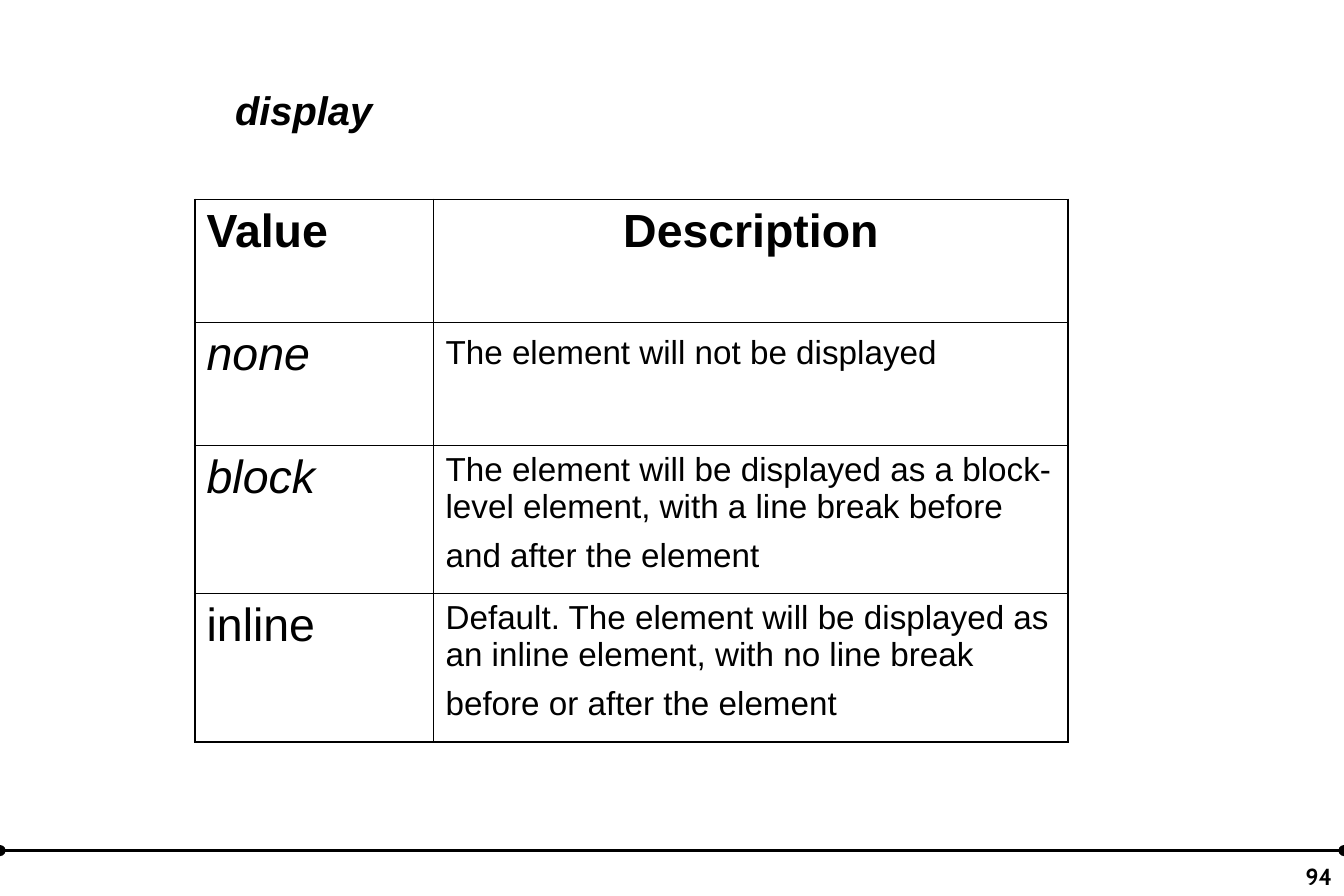
from lxml.etree import SubElement
from pptx import Presentation
from pptx.dml.color import RGBColor
from pptx.enum.shapes import MSO_CONNECTOR
from pptx.enum.text import MSO_ANCHOR, PP_ALIGN
from pptx.oxml.ns import qn
from pptx.util import Inches, Pt

LINE = MSO_CONNECTOR.STRAIGHT
TOP, BOTTOM = MSO_ANCHOR.TOP, MSO_ANCHOR.BOTTOM
LEFT, CENTER, RIGHT = PP_ALIGN.LEFT, PP_ALIGN.CENTER, PP_ALIGN.RIGHT
COLORS = {"ink": "000000", "paper": "FFFFFF"}
THIN, THICK = 0.45, 1.08


def write(par, text, size=28, font="Arial", bold=False, italic=False, align=LEFT):
    par.alignment = align
    run = par.add_run()
    run.text = text
    run.font.name = font
    run.font.size = Pt(size)
    run.font.bold = bold
    run.font.italic = italic
    run.font.color.rgb = RGBColor.from_string(COLORS["ink"])


class Page:
    def __init__(self, deck):
        self.slide = deck.slides.add_slide(deck.slide_layouts[6])
        self.shapes = self.slide.shapes
        fill = self.slide.background.fill
        fill.solid()
        fill.fore_color.rgb = RGBColor.from_string(COLORS["paper"])

    def rule(self, left, right, top):
        line = self.shapes.add_connector(
            LINE, Inches(left), Inches(top), Inches(right), Inches(top))
        line.line.width = Pt(2.25)
        line.line.color.rgb = RGBColor.from_string(COLORS["ink"])
        pen = line.line._get_or_add_ln()
        for end in ("a:headEnd", "a:tailEnd"):
            SubElement(pen, qn(end), type="oval")
        SubElement(line._element.spPr, qn("a:effectLst"))

    def text(self, area, words, anchor=TOP, **style):
        frame = self.shapes.add_textbox(*map(Inches, area)).text_frame
        frame.word_wrap = True
        frame.vertical_anchor = anchor
        write(frame.paragraphs[0], words, **style)

    def border(self, cell, sides):
        props = cell._tc.get_or_add_tcPr()
        for side, width in sides.items():
            pen = SubElement(props, qn("a:ln" + side), w=str(Pt(width)))
            fill = SubElement(pen, qn("a:solidFill"))
            SubElement(fill, qn("a:srgbClr"), val=COLORS["ink"])

    def table(self, left, top, cols, rows, data):
        grid = self.shapes.add_table(
            len(rows), len(cols), Inches(left), Inches(top),
            Inches(sum(cols)), Inches(sum(rows))).table
        grid.first_row = grid.horz_banding = False
        for col, width in zip(grid.columns, cols):
            col.width = Inches(width)
        for row, height in zip(grid.rows, rows):
            row.height = Inches(height)
        for y, line in enumerate(data):
            for x, runs in enumerate(line):
                cell = grid.cell(y, x)
                self.border(cell, {
                    "L": THICK if x == 0 else THIN,
                    "R": THICK if x == len(cols) - 1 else THIN,
                    "T": THICK if y == 0 else THIN,
                    "B": THICK if y == len(rows) - 1 else THIN})
                cell.fill.solid()
                cell.fill.fore_color.rgb = RGBColor.from_string(COLORS["paper"])
                for words, style in runs:
                    write(cell.text_frame.paragraphs[0], words, **style)


def note(words, tail=28):
    return [(words, {"size": 20}), (" ", {"size": tail})]


def main():
    deck = Presentation()
    deck.slide_width, deck.slide_height = Inches(11.25), Inches(7.5)
    page = Page(deck)
    page.rule(0, 11.25, 7.12)
    page.text((1.87, 0.67, 4.84, 0.6), "display", size=24, bold=True, italic=True)
    page.table(1.63, 1.67, (2, 5.31), (1.03, 1.03, 1.24, 1.24), [
        ([("Value", {"bold": True})],
         [("Description", {"bold": True, "align": CENTER})]),
        ([("none", {"italic": True})],
         note("The element will not be displayed", 24)),
        ([("block", {"italic": True})],
         note("The element will be displayed as a block-level element, "
              "with a line break before and after the element")),
        ([("inline", {})],
         note("Default. The element will be displayed as an inline element, "
              "with no line break before or after the element")),
    ])
    page.text((9.17, 7, 2.08, 0.5), "94", anchor=BOTTOM,
              size=14, font="Cabin", bold=True, align=RIGHT)
    deck.save("out.pptx")


if __name__ == "__main__":
    main()
